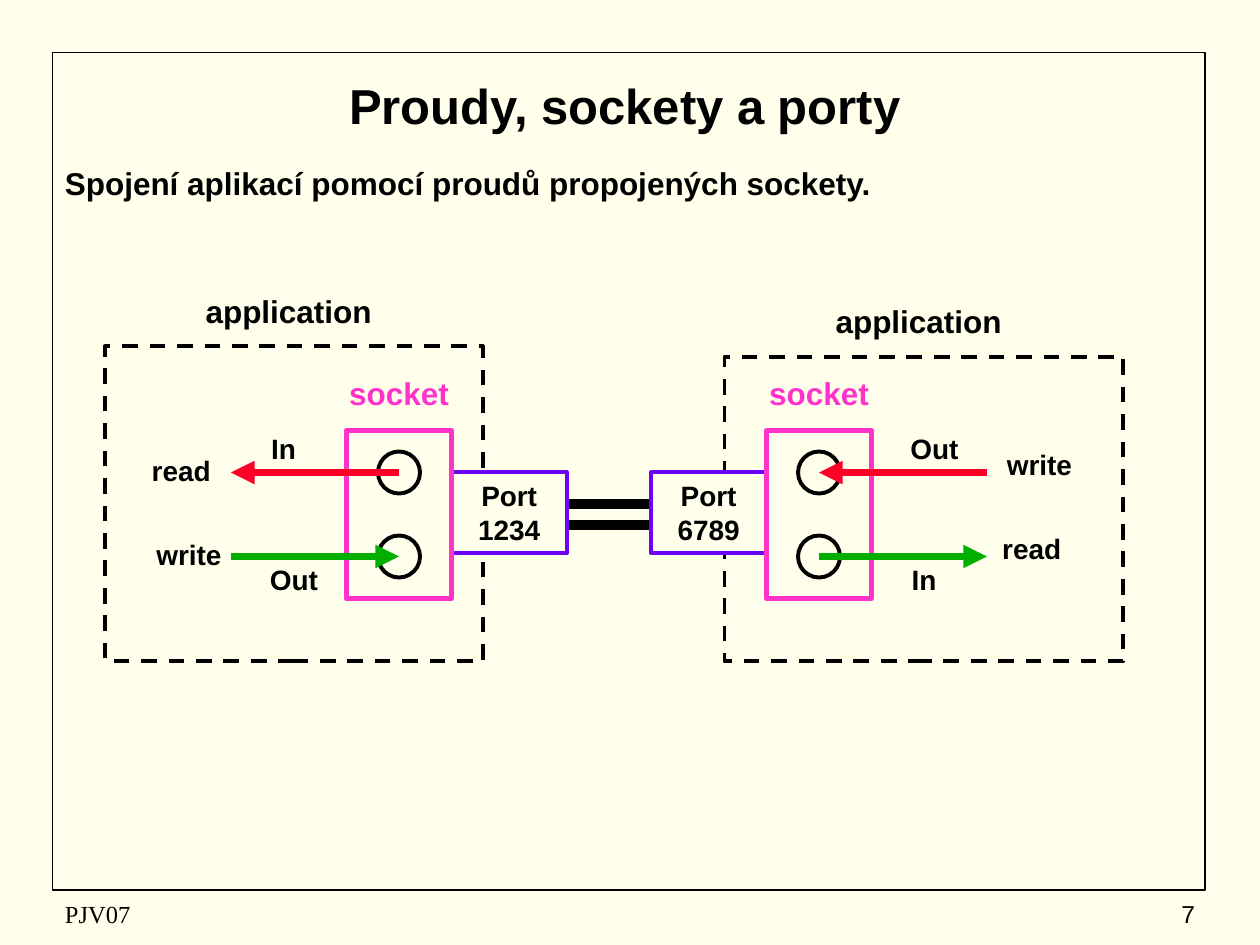
from collections import namedtuple
from dataclasses import dataclass

from lxml import etree
from pptx import Presentation
from pptx import util as u
from pptx.dml.color import RGBColor
from pptx.enum import dml, shapes, text
from pptx.oxml import ns

COLS, ROWS = 120, 90
CELL = u.Inches(10) / COLS
Box = namedtuple("Box", "x y w h")


@dataclass(frozen=True)
class Theme:
    paper: str = "FFFFEB"
    ink: str = "000000"
    socket: str = "FF33CC"
    port: str = "6C03F7"
    leftward: str = "FC0128"
    rightward: str = "00AE00"
    sans: str = "Arial"
    serif: str = "Times New Roman"
    title: int = 28
    body: int = 18
    label: int = 16
    footer: int = 14


T = Theme()
CENTER, LEFT, RIGHT = text.PP_ALIGN.CENTER, text.PP_ALIGN.LEFT, text.PP_ALIGN.RIGHT
TOP, MIDDLE = text.MSO_ANCHOR.TOP, text.MSO_ANCHOR.MIDDLE


def cells(*values):
    return [u.Emu(round(v * CELL)) for v in values]


def write(sp, lines, size, color=T.ink, align=CENTER, anchor=TOP, bold=True, font=T.sans):
    tf = sp.text_frame
    tf.word_wrap = True
    tf.vertical_anchor = anchor
    tf.text = lines
    for p in tf.paragraphs:
        p.alignment = align
        p.font.size = u.Pt(size)
        p.font.bold = bold
        p.font.name = font
        p.font.color.rgb = RGBColor.from_string(color)


def add_text(s, box, words, size, **style):
    write(s.shapes.add_textbox(*cells(*box)), words, size, **style)


def add_label(s, center, top, words, size, width=10, **style):
    add_text(s, Box(center - width / 2, top, width, 4.6), words, size, **style)


def add_outline(s, box, color, width, fill=None, kind=shapes.MSO_SHAPE.RECTANGLE):
    sp = s.shapes.add_shape(kind, *cells(*box))
    sp.shadow.inherit = False
    if fill:
        sp.fill.solid()
        sp.fill.fore_color.rgb = RGBColor.from_string(fill)
    else:
        sp.fill.background()
    sp.line.color.rgb = RGBColor.from_string(color)
    sp.line.width = u.Pt(width)
    return sp


def add_line(s, start, end, y, color, width, arrow=False):
    sp = s.shapes.add_connector(shapes.MSO_CONNECTOR.STRAIGHT, *cells(start, y, end, y))
    sp.line.color.rgb = RGBColor.from_string(color)
    sp.line.width = u.Pt(width)
    props = sp._element.spPr
    if arrow:
        etree.SubElement(props.find(ns.qn("a:ln")), ns.qn("a:tailEnd"), type="triangle")
    etree.SubElement(props, ns.qn("a:effectLst"))


def add_frame(s, box):
    add_outline(s, box, T.ink, 1)
    add_text(s, Box(box.x + 1, box.y + 1, 107, 8), "Proudy, sockety a porty",
             T.title, anchor=MIDDLE)
    add_text(s, Box(box.x, box.y + 10, box.w, 5), "Spojení aplikací pomocí proudů propojených sockety.",
             T.body, align=LEFT)


def add_cables(s, box):
    for y in (box.y, box.y + box.h):
        add_line(s, box.x, box.x + box.w, y, T.ink, 6)


def add_application(s, box, center, outward, port, streams, actors):
    bottom = box.y + box.h
    area = add_outline(s, box, T.ink, 2.25)
    area.line.dash_style = dml.MSO_LINE.DASH
    add_label(s, box.x + box.w / 2 - 0.5, box.y - 5.8, "application", T.body, width=19)

    plug = add_outline(s, Box(center - 10.5 * outward - 5.5, bottom - 18, 11, 7.7),
                       T.port, 2.25, T.paper)
    write(plug, f"Port\n{port}", T.label)
    add_outline(s, Box(center - 5, bottom - 22, 10, 16), T.socket, 3, T.paper)
    add_label(s, center, bottom - 28, "socket", T.body, width=16, color=T.socket)

    near, far = sorted((center, center + 16 * outward))
    for y, start, end, color in ((bottom - 18, far, near, T.leftward),
                                 (bottom - 10, near, far, T.rightward)):
        add_outline(s, Box(center - 2, y - 2, 4, 4), T.ink, 2.25, T.paper, shapes.MSO_SHAPE.OVAL)
        add_line(s, start, end, y, color, 4.5, arrow=True)

    for words, reach, rise in zip(streams, (11, 10), (22.5, 10)):
        add_label(s, center + reach * outward, bottom - rise, words, T.label)
    for words, x, y in actors:
        add_label(s, box.x + x, box.y + y, words, T.label)


def add_footer(s, box):
    add_text(s, Box(box.x, box.y, 38, box.h), "PJV07", T.footer,
             align=LEFT, anchor=MIDDLE, bold=False, font=T.serif)
    add_text(s, Box(box.x + box.w - 25, box.y, 25, box.h), "7", T.footer,
             align=RIGHT, anchor=MIDDLE, bold=False)


def main():
    prs = Presentation()
    prs.slide_width, prs.slide_height = cells(COLS, ROWS)
    s = prs.slides.add_slide(prs.slide_layouts[6])
    s.background.fill.solid()
    s.background.fill.fore_color.rgb = RGBColor.from_string(T.paper)

    add_frame(s, Box(5, 5, 109.8, 79.8))
    add_cables(s, Box(50, 48, 16, 2))
    add_application(s, Box(10, 33, 36, 30), 38, -1, "1234", ("In", "Out"),
                    (("read", 7.25, 9.6), ("write", 8, 17.6)))
    add_application(s, Box(69, 34, 38, 29), 78, 1, "6789", ("Out", "In"),
                    (("write", 30, 8), ("read", 29.25, 16)))
    add_footer(s, Box(5, 85, 110, 4))
    prs.save("out.pptx")


if __name__ == "__main__":
    main()
